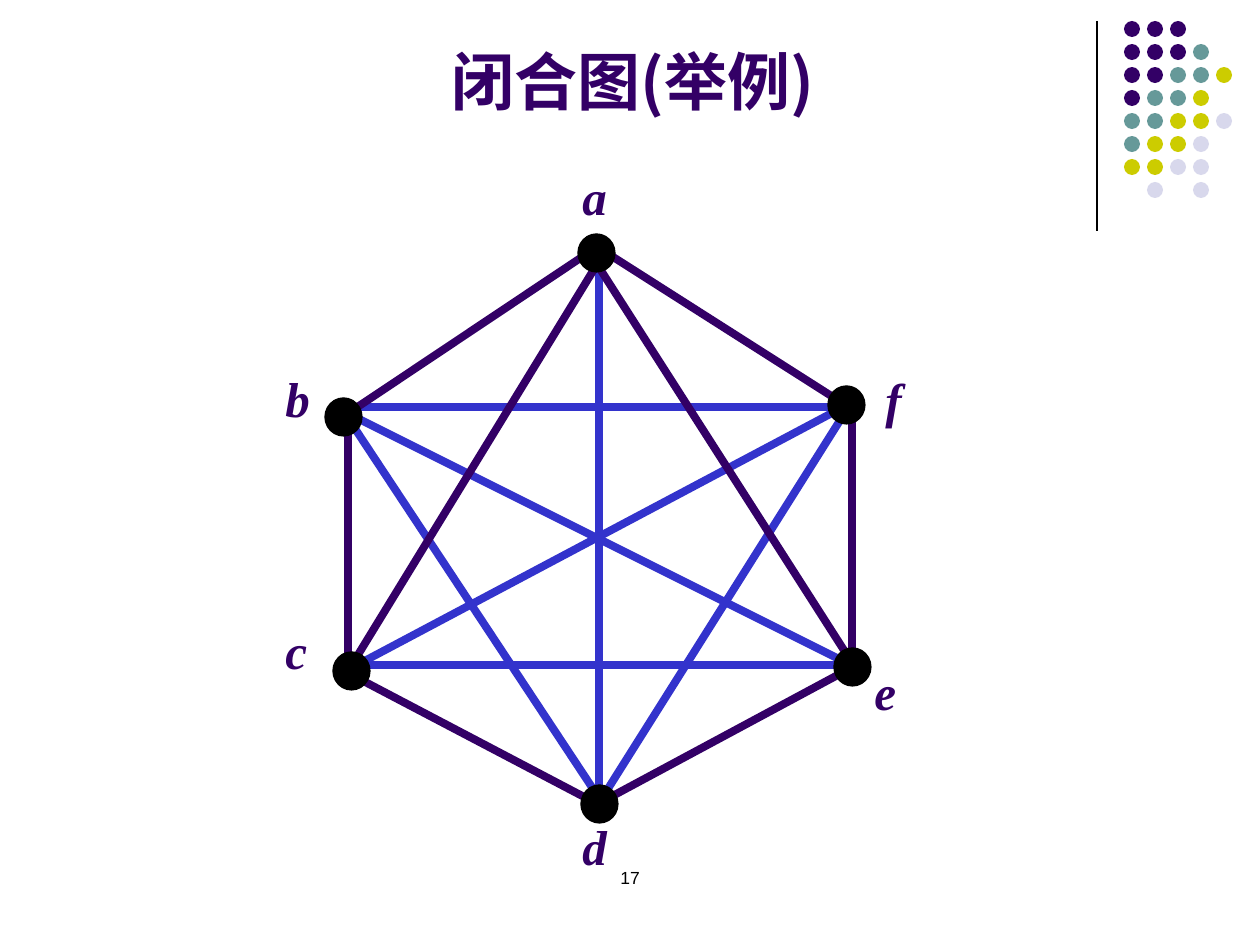
from pptx import Presentation, util as u
from pptx.dml.color import RGBColor
from pptx.enum import shapes, text
from pptx.oxml.ns import qn
from lxml import etree

PX = u.Inches(1) / 126
DARK, BLUE, BLACK = "330066", "3333CC", "000000"


def rgb(code):
    return RGBColor.from_string(code)


def px(*vals):
    """Turn px lengths into EMU."""
    return [round(v * PX) for v in vals]


class Page:
    def __init__(self, wide, high):
        self.deck = Presentation()
        self.deck.slide_width, self.deck.slide_height = px(wide, high)
        self.slide = self.deck.slides.add_slide(self.deck.slide_layouts[6])
        self.items = self.slide.shapes

    def line(self, ends, color, width):
        link = self.items.add_connector(shapes.MSO_CONNECTOR.STRAIGHT, *px(*ends))
        link.line.color.rgb = rgb(color)
        link.line.width = u.Pt(width)
        etree.SubElement(link._element.spPr, qn("a:effectLst"))

    def dot(self, box, color, edge=None):
        oval = self.items.add_shape(shapes.MSO_SHAPE.OVAL, *px(*box))
        oval.shadow.inherit = False
        oval.fill.solid()
        oval.fill.fore_color.rgb = rgb(color)
        if edge:
            oval.line.color.rgb = rgb(color)
            oval.line.width = u.Pt(edge)
        else:
            oval.line.fill.background()

    def text(self, words, box, color, wrap=True, center=True, low=False, **font):
        frame = self.items.add_textbox(*px(*box)).text_frame
        frame.word_wrap = wrap
        if low:
            frame.vertical_anchor = text.MSO_ANCHOR.BOTTOM
        para = frame.paragraphs[0]
        if center:
            para.alignment = text.PP_ALIGN.CENTER
        run = para.add_run()
        run.text = words
        run.font.color.rgb = rgb(color)
        for key, val in font.items():
            setattr(run.font, key, val)
        east = etree.SubElement(run._r.get_or_add_rPr(), qn("a:ea"))
        east.set("typeface", font["name"])


def corner(page):
    """Draw the rule and the grid of dots at the top right."""
    page.line((1097, 21, 1097, 231), BLACK, 0.75)
    hues = {"d": DARK, "t": "669999", "y": "CCCC00", "p": "D8D8EC"}
    rows = ["ddd", "dddt", "ddtty", "dtty", "ttyyp", "tyyp", "yypp", " p p"]
    for i, row in enumerate(rows):
        for j, mark in enumerate(row):
            if mark in hues:
                page.dot((1124 + 23 * j, 21 + 23 * i, 16, 16), hues[mark])


def graph(page):
    """Draw the edges, then the nodes, then their names."""
    edges = {
        BLUE: [(353, 665, 857, 665), (599, 256, 599, 803), (357, 665, 851, 403),
               (347, 413, 851, 665), (344, 412, 607, 810), (599, 803, 851, 403),
               (347, 407, 851, 407)],
        DARK: [(348, 411, 348, 673), (588, 253, 353, 410), (849, 669, 607, 799),
               (599, 248, 844, 404), (348, 673, 588, 799), (593, 258, 849, 658),
               (604, 253, 353, 663), (852, 398, 852, 660)],
    }
    for color, group in edges.items():
        for ends in group:
            page.line(ends, color, 4.5)

    # name: node left and top, label left, top and width
    nodes = {
        "a": (578, 234, 570, 160, 49),
        "b": (325, 398, 273, 362, 49),
        "c": (333, 652, 273, 614, 47),
        "d": (581, 785, 570, 810, 49),
        "e": (834, 648, 862, 655, 47),
        "f": (828, 386, 873, 363, 42),
    }
    for left, top, *_ in nodes.values():
        page.dot((left, top, 37, 38), BLACK, 0.75)
    for name, (*_, left, top, wide) in nodes.items():
        page.text(name, (left, top, wide, 72), DARK, wrap=False, center=False,
                  name="Times New Roman", size=u.Pt(28), bold=True, italic=True)


def main():
    page = Page(1260, 945)
    corner(page)
    page.text("闭合图(举例)", (3, 19, 1260, 105), DARK, low=True,
              name="Noto Sans CJK SC", size=u.Pt(36), bold=True)
    graph(page)
    page.text("17", (483, 861, 294, 63), BLACK, name="Arial", size=u.Pt(10))
    page.deck.save("out.pptx")


if __name__ == "__main__":
    main()
